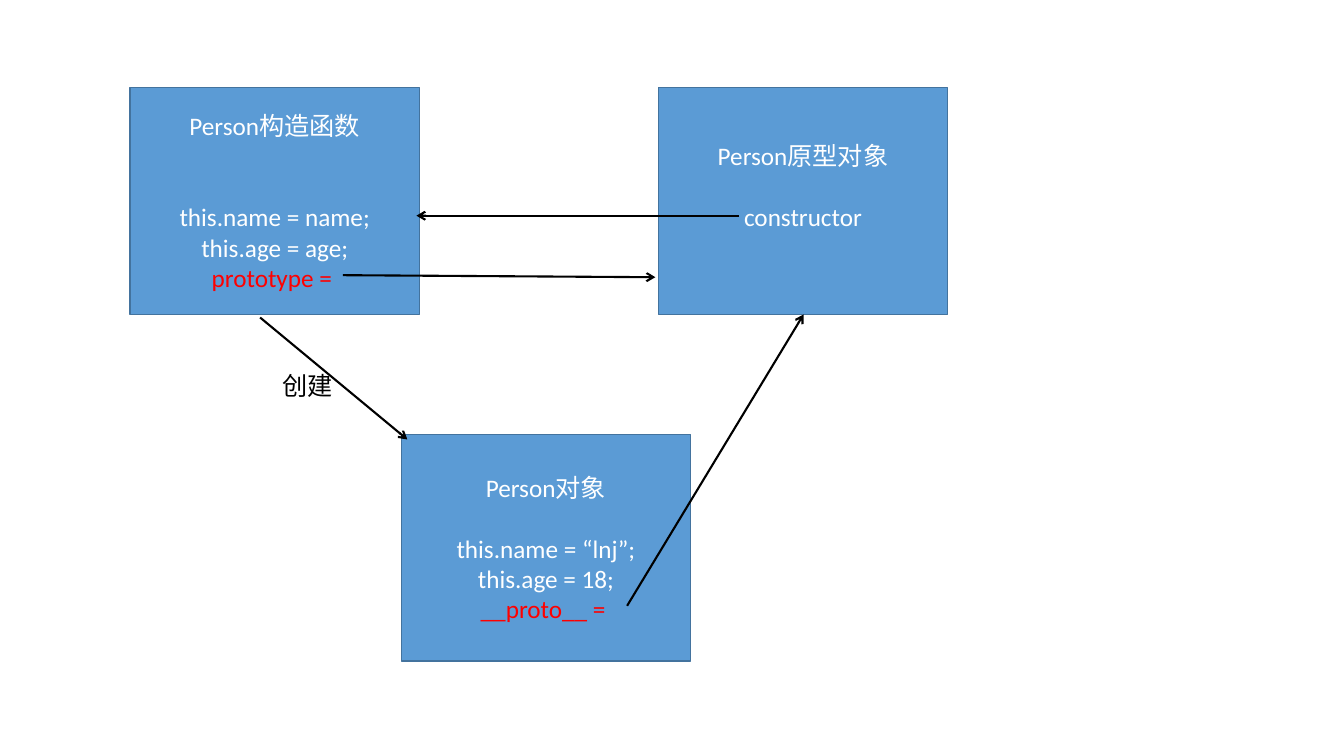
from pptx import Presentation
from pptx.dml.color import RGBColor
from pptx.enum.shapes import MSO_CONNECTOR, MSO_SHAPE
from pptx.enum.text import MSO_ANCHOR, MSO_AUTO_SIZE, PP_ALIGN
from pptx.oxml.ns import qn
from pptx.util import Inches, Pt
from lxml import etree

RECT, STRAIGHT = MSO_SHAPE.RECTANGLE, MSO_CONNECTOR.STRAIGHT
MIDDLE, CENTER = MSO_ANCHOR.MIDDLE, PP_ALIGN.CENTER
BLUE, EDGE = RGBColor(0x5B, 0x9B, 0xD5), RGBColor(0x43, 0x73, 0x9E)
WHITE, BLACK, RED = (RGBColor(255, 255, 255), RGBColor(0, 0, 0),
                     RGBColor(255, 0, 0))
FONT, SIZE = "Calibri", Pt(18)
LINE = Pt(22)  # height of one text line
BOX_W, BOX_H = 2.87, 2.25
INSET = Inches(0.05)

# Boxes: left, top, title, lines of gap below title, members, free lines at end
BOXES = [
    (1.29, 0.87, "Person构造函数", 2,
     ["this.name = name;", "this.age = age;", "prototype = "], 0),
    (6.53, 0.87, "Person原型对象", 1, ["constructor"], 1),
    (3.98, 4.31, "Person对象", 1,
     ["this.name = “lnj”;", "this.age = 18;", "__proto__ = "], 0),
]
LINKS = {"prototype = ", "__proto__ = "}  # members shown in red

# Arrows: start and end points
ARROWS = [
    ((3.4, 2.73), (6.5, 2.75)),    # prototype
    ((7.33, 2.14), (4.13, 2.14)),  # constructor
    ((2.58, 3.15), (4.04, 4.36)),  # create
    ((6.22, 6.01), (7.97, 3.12)),  # __proto__
]
CREATE_LABEL = ("创建", 2.7, 3.62, 0.7, 0.4)


def style(p, color):
    for r in p.runs:
        r.font.name, r.font.size = FONT, SIZE
        r.font.color.rgb = color


def add_box(s, left, top, title, gap, members, free):
    sp = s.shapes.add_shape(RECT, *map(Inches, (left, top, BOX_W, BOX_H)))
    sp.shadow.inherit = False
    sp.fill.solid()
    sp.fill.fore_color.rgb = BLUE
    sp.line.color.rgb = EDGE
    sp.line.width = Pt(1)
    tf = sp.text_frame
    tf.word_wrap = True
    tf.vertical_anchor = MIDDLE
    tf.margin_bottom = INSET + free * LINE
    tf.text = "\n".join([title] + members)
    for p in tf.paragraphs:
        p.alignment = CENTER
        style(p, RED if p.text in LINKS else WHITE)
    tf.paragraphs[0].space_after = gap * LINE


def add_arrow(s, start, end):
    line = s.shapes.add_connector(STRAIGHT, *map(Inches, start + end))
    line.line.color.rgb = BLACK
    line.line.width = Pt(1.5)
    sp_pr = line._element.spPr
    etree.SubElement(sp_pr.find(qn("a:ln")), qn("a:tailEnd"), type="arrow")
    etree.SubElement(sp_pr, qn("a:effectLst"))


prs = Presentation()
prs.slide_width, prs.slide_height = Inches(13.33), Inches(7.5)
s = prs.slides.add_slide(prs.slide_layouts[6])

for box in BOXES:
    add_box(s, *box)
for arrow in ARROWS:
    add_arrow(s, *arrow)

# Label on the create arrow
text, *place = CREATE_LABEL
tf = s.shapes.add_textbox(*map(Inches, place)).text_frame
tf.word_wrap = False
tf.auto_size = MSO_AUTO_SIZE.SHAPE_TO_FIT_TEXT
tf.text = text
style(tf.paragraphs[0], BLACK)

prs.save("out.pptx")
